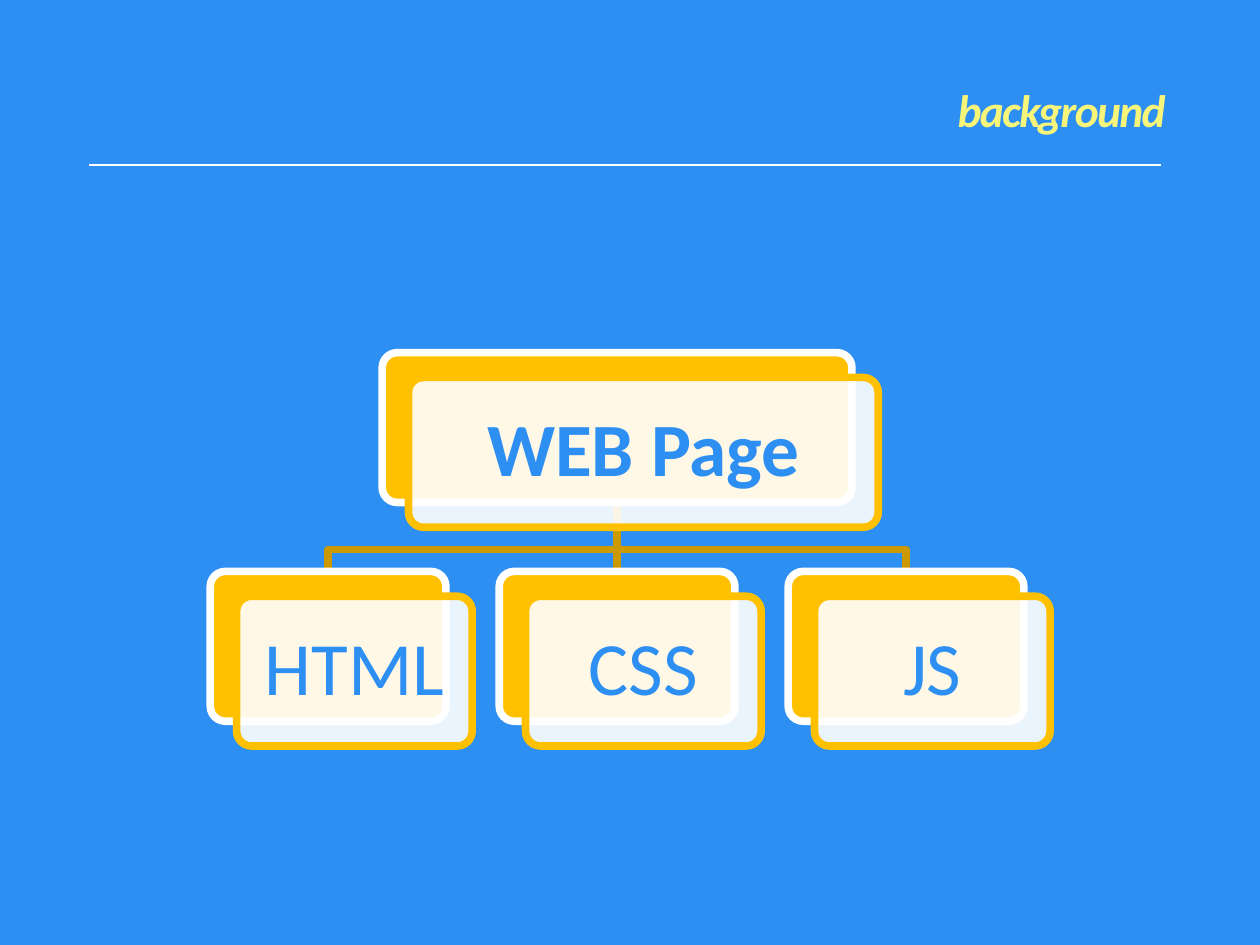
from dataclasses import dataclass

from lxml import etree
from pptx import Presentation
from pptx import util as u
from pptx.dml.color import RGBColor
from pptx.enum import shapes, text
from pptx.oxml import ns

Cm, Pt = u.Cm, u.Pt


@dataclass(frozen=True)
class Theme:
    blue: str = "2E8FF3"
    white: str = "FFFFFF"
    gold: str = "FFC000"
    branch: str = "CC9A00"
    title: str = "F8F57B"
    font: str = "Calibri"
    title_size: int = 26
    card_size: int = 43
    card_line: float = 4.33
    rule_line: float = 1


THEME = Theme()


def set_text(sp, content, *, size, color, align, bold=False, italic=False, spacing=0, inset=0):
    tf = sp.text_frame
    tf.word_wrap = True
    tf.auto_size = text.MSO_AUTO_SIZE.NONE
    tf.vertical_anchor = text.MSO_ANCHOR.MIDDLE
    tf.margin_left = tf.margin_right = tf.margin_top = tf.margin_bottom = Cm(inset)
    p = tf.paragraphs[0]
    p.alignment = align
    p.line_spacing = 0.9
    p.space_before = Pt(0)
    r = p.add_run()
    r.text = content
    r.font.name = THEME.font
    r.font.size = Pt(size)
    r.font.bold = bold
    r.font.italic = italic
    r.font.color.rgb = RGBColor.from_string(color)
    if spacing:
        r.font._element.set("spc", str(spacing * 100))


def set_line(sp, color, width):
    sp.line.color.rgb = RGBColor.from_string(color)
    sp.line.width = Pt(width)


def add_straight(s, x1, y1, x2, y2, color, width):
    sp = s.shapes.add_connector(shapes.MSO_CONNECTOR.STRAIGHT, Cm(x1), Cm(y1), Cm(x2), Cm(y2))
    set_line(sp, color, width)
    etree.SubElement(sp._element.spPr, ns.qn("a:effectLst"))


def add_elbow(s, x1, y1, x2, y2, bend):
    fb = s.shapes.build_freeform(Cm(x1), Cm(y1))
    corners = [(x1, bend), (x2, bend), (x2, y2)]
    fb.add_line_segments([(Cm(x), Cm(y)) for x, y in corners], close=False)
    sp = fb.convert_to_shape()
    sp.fill.background()
    sp.shadow.inherit = False
    set_line(sp, THEME.branch, THEME.card_line)


def add_panel(s, x, y, w, h, fill, line, opacity=100):
    sp = s.shapes.add_shape(shapes.MSO_SHAPE.ROUNDED_RECTANGLE, Cm(x), Cm(y), Cm(w), Cm(h))
    sp.adjustments[0] = 0.1
    sp.shadow.inherit = False
    sp.fill.solid()
    sp.fill.fore_color.rgb = RGBColor.from_string(fill)
    set_line(sp, line, THEME.card_line)
    if opacity < 100:
        color = sp._element.spPr.find(ns.qn("a:solidFill"))[0]
        etree.SubElement(color, ns.qn("a:alpha")).set("val", str(opacity * 1000))
    return sp


def add_card(s, x, y, w, h, label, bold=False):
    add_panel(s, x, y, w, h, THEME.gold, THEME.white)
    front = add_panel(s, x + 0.53, y + 0.5, w, h, THEME.white, THEME.gold, opacity=90)
    set_text(front, label, size=THEME.card_size, color=THEME.blue,
             align=text.PP_ALIGN.CENTER, bold=bold, inset=0.36)


def add_header(s, x, y, w, h):
    sp = s.shapes.title
    sp.left, sp.top, sp.width, sp.height = Cm(x), Cm(y), Cm(w), Cm(h)
    set_text(sp, "background", size=THEME.title_size, color=THEME.title,
             align=text.PP_ALIGN.RIGHT, bold=True, italic=True, spacing=-1)
    rule_y = y + h + 0.15
    add_straight(s, x + 0.1, rule_y, x + w - 0.1, rule_y, THEME.white, THEME.rule_line)


def add_hierarchy(s, x, y, w, root, children):
    root_w, card_w, card_h, drop = 9.47, 4.75, 3.02, 1.39
    pitch = (w - card_w) / (len(children) - 1)
    mid = x + w / 2
    root_bottom = y + card_h
    child_y = root_bottom + drop
    lefts = [x + i * pitch for i in range(len(children))]
    for left in lefts:
        center = left + card_w / 2
        if abs(center - mid) < 0.01:
            add_straight(s, mid, root_bottom, mid, child_y, THEME.branch, THEME.card_line)
        else:
            add_elbow(s, mid, root_bottom, center, child_y, root_bottom + 0.95)
    add_card(s, mid - root_w / 2, y, root_w, card_h, root, bold=True)
    for left, label in zip(lefts, children):
        add_card(s, left, child_y, card_w, card_h, label)


def main():
    prs = Presentation()
    prs.slide_width, prs.slide_height = Cm(25.4), Cm(19.05)
    s = prs.slides.add_slide(prs.slide_layouts[5])
    s.background.fill.solid()
    s.background.fill.fore_color.rgb = RGBColor.from_string(THEME.blue)
    add_header(s, 1.7, 1.37, 21.8, 1.8)
    add_hierarchy(s, 4.24, 7.11, 16.4, "WEB Page", ["HTML", "CSS", "JS"])
    prs.save("out.pptx")


if __name__ == "__main__":
    main()
